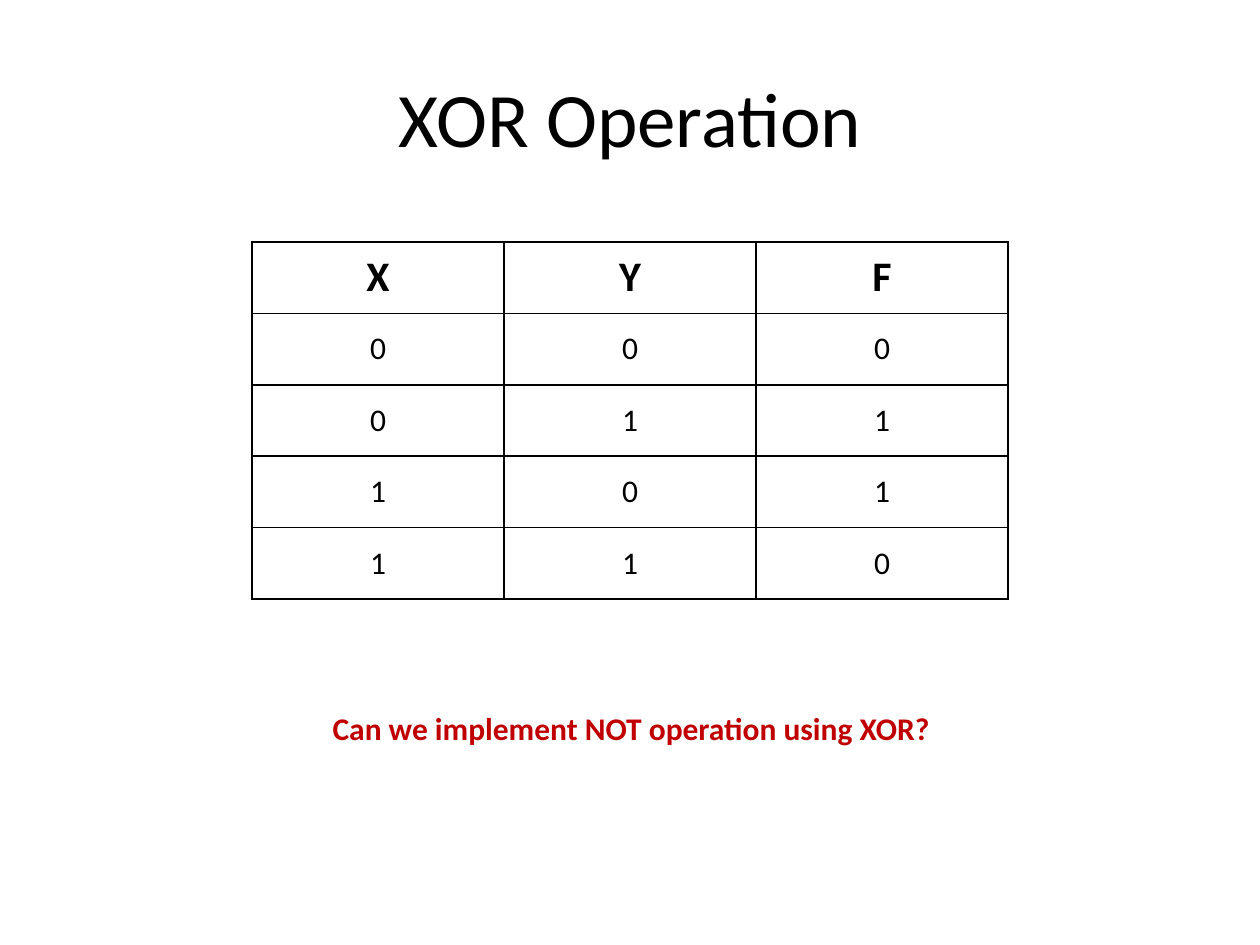
from lxml import etree
from pptx import Presentation
from pptx.dml.color import RGBColor
from pptx.enum.text import MSO_ANCHOR, MSO_AUTO_SIZE, PP_ALIGN
from pptx.oxml.ns import qn
from pptx.util import Inches, Pt

MIDDLE = MSO_ANCHOR.MIDDLE
TOP = MSO_ANCHOR.TOP
CENTER = PP_ALIGN.CENTER
GROW = MSO_AUTO_SIZE.SHAPE_TO_FIT_TEXT

FONT = "Calibri"
BLACK = "000000"
RED = "C00000"

TITLE = "XOR Operation"
HEADS = ["X", "Y", "F"]
INPUTS = [(0, 0), (0, 1), (1, 0), (1, 1)]
QUESTION = "Can we implement NOT operation using XOR?"

ROWS = [HEADS] + [[str(x), str(y), str(x ^ y)] for x, y in INPUTS]
COL_W = 2
ROW_H = 0.567


def color(code):
    return RGBColor.from_string(code)


def write(frame, text, size, bold=False, code=BLACK):
    frame.text = text
    para = frame.paragraphs[0]
    para.alignment = CENTER
    font = para.runs[0].font
    font.name = FONT
    font.size = Pt(size)
    font.bold = bold
    font.color.rgb = color(code)


def add_text(slide, box, text, size, anchor, wrap, **style):
    frame = slide.shapes.add_textbox(*map(Inches, box)).text_frame
    frame.word_wrap = wrap
    frame.vertical_anchor = anchor
    write(frame, text, size, **style)
    return frame


def add_border(cell):
    props = cell._tc.get_or_add_tcPr()
    for side in ("lnL", "lnR", "lnT", "lnB"):
        line = etree.SubElement(props, qn("a:" + side), w=str(Pt(1)))
        fill = etree.SubElement(line, qn("a:solidFill"))
        etree.SubElement(fill, qn("a:srgbClr"), val=BLACK)


def add_truth(slide, left, top):
    size = COL_W * len(HEADS), ROW_H * len(ROWS)
    table = slide.shapes.add_table(
        len(ROWS), len(HEADS), *map(Inches, (left, top, *size))).table
    table.horz_banding = False
    for col in table.columns:
        col.width = Inches(COL_W)
    for r, row in enumerate(ROWS):
        table.rows[r].height = Inches(ROW_H)
        for c, text in enumerate(row):
            cell = table.cell(r, c)
            cell.vertical_anchor = MIDDLE
            add_border(cell)
            cell.fill.background()
            write(cell.text_frame, text, 18 if r else 24, bold=r == 0)


def main():
    deck = Presentation()
    deck.slide_width, deck.slide_height = Inches(10), Inches(7.5)
    slide = deck.slides.add_slide(deck.slide_layouts[6])
    add_text(slide, (0.5, 0.3, 9, 1.25), TITLE, 44, MIDDLE, True)
    add_truth(slide, 2, 1.92)
    ask = add_text(slide, (2.52, 5.58, 4.98, 0.4), QUESTION, 18, TOP, False,
                   bold=True, code=RED)
    ask.auto_size = GROW
    deck.save("out.pptx")


if __name__ == "__main__":
    main()
